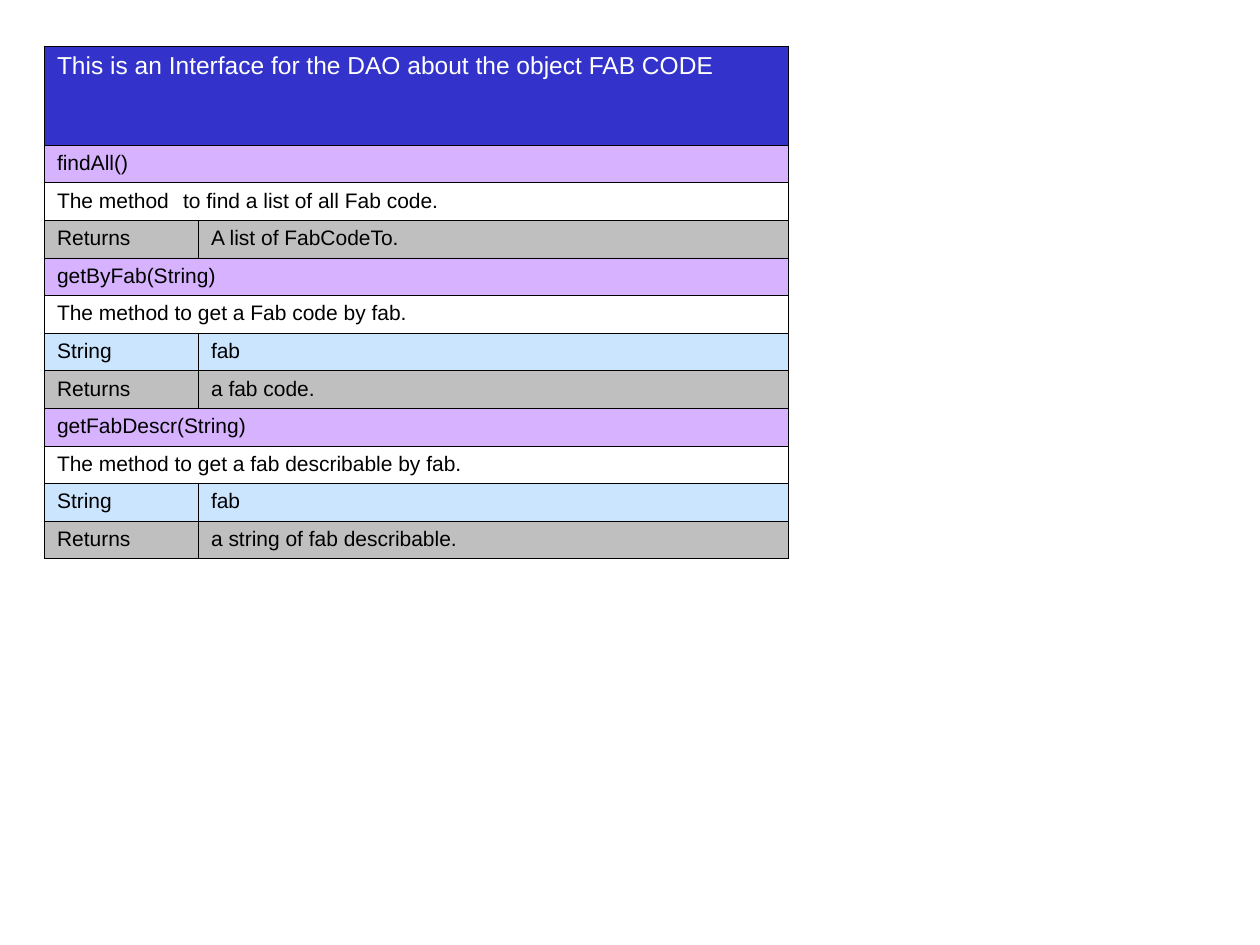
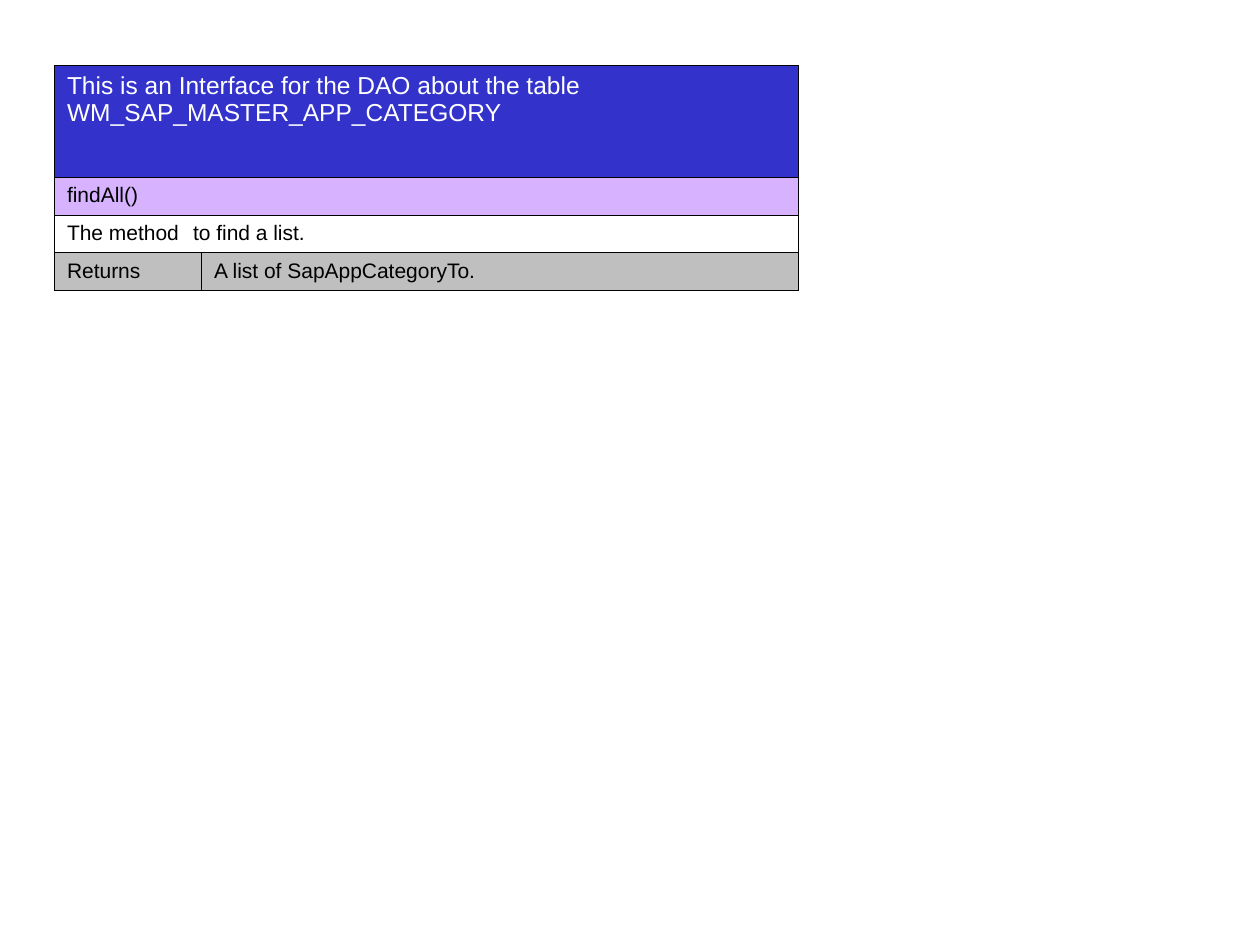
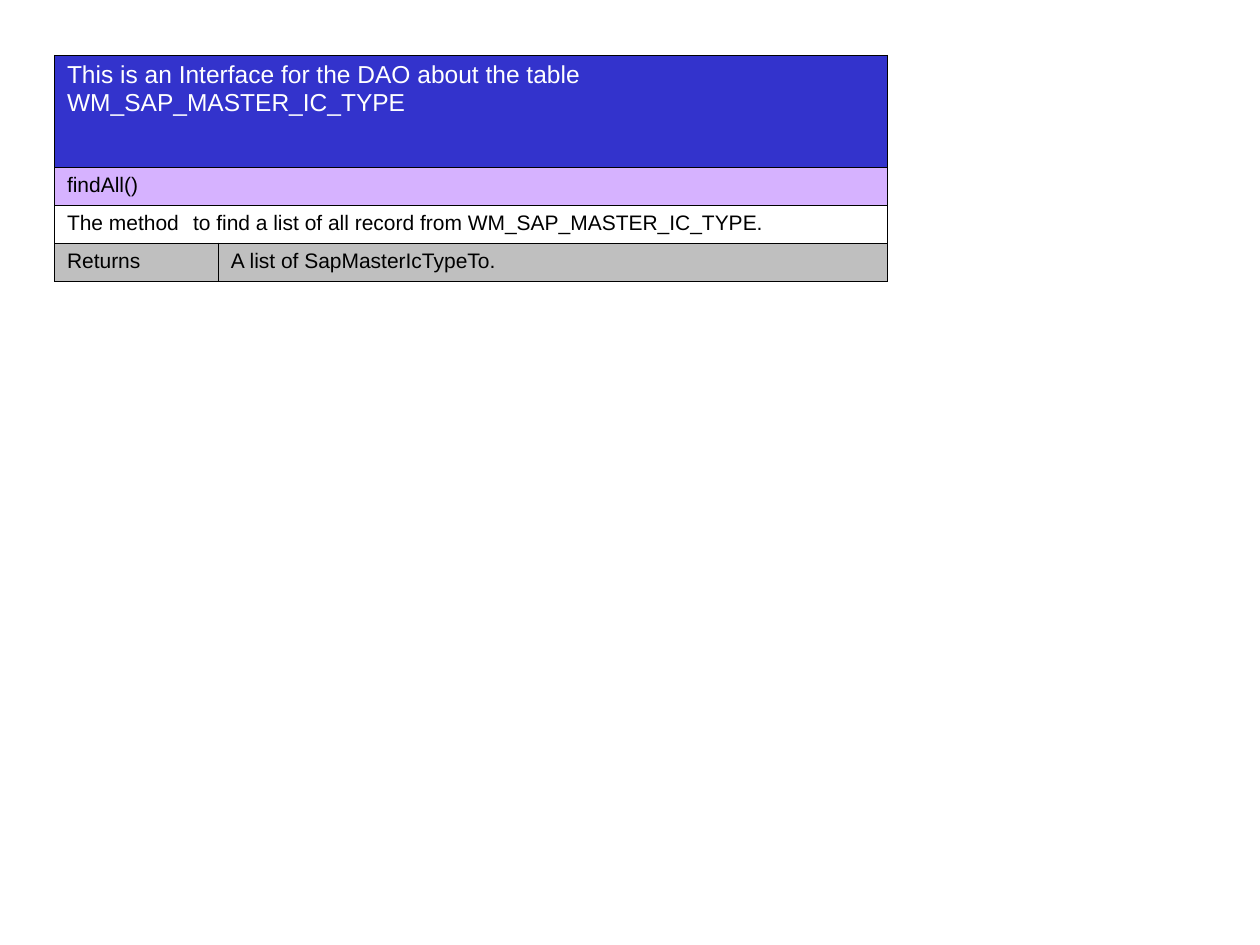
from lxml.etree import SubElement
from pptx import Presentation
from pptx.dml.color import RGBColor
from pptx.oxml import parse_xml
from pptx.oxml.ns import nsdecls, qn
from pptx.util import Pt

# Fill colour and opacity in percent for each kind of row
ROW_FILLS = {
    "title": ("3333CC", 100),
    "signature": ("AF67FF", 50),
    "description": None,
    "parameter": ("99CCFF", 50),
    "returns": ("808080", 50),
}


def color(hex_code):
    return RGBColor.from_string(hex_code)


class InterfaceDeck:
    FONT = "Arial"
    BORDER = "000000"
    BORDER_WIDTH = 0.45
    TAB_STOPS = [72 * inch for inch in range(8)]

    def __init__(self, width, height):
        self.deck = Presentation()
        self.deck.slide_width, self.deck.slide_height = Pt(width), Pt(height)
        self.slide = None

    def new_slide(self):
        self.slide = self.deck.slides.add_slide(self.deck.slide_layouts[6])

    def fill_cell(self, cell, kind):
        if ROW_FILLS[kind] is None:
            cell.fill.background()
            return
        hex_code, opacity = ROW_FILLS[kind]
        cell.fill.solid()
        cell.fill.fore_color.rgb = color(hex_code)
        if opacity < 100:
            tint = cell._tc.tcPr.find(qn("a:solidFill"))[0]
            SubElement(tint, qn("a:alpha")).set("val", str(opacity * 1000))

    def border_cell(self, cell):
        properties = cell._tc.get_or_add_tcPr()
        for position, side in enumerate("LRTB"):
            properties.insert(position, parse_xml(
                f'<a:ln{side} {nsdecls("a")} w="{Pt(self.BORDER_WIDTH)}">'
                f'<a:solidFill><a:srgbClr val="{color(self.BORDER)}"/></a:solidFill>'
                f'</a:ln{side}>'))

    def cell_text(self, cell, wording, kind):
        cell.margin_left = cell.margin_right = Pt(7.2)
        cell.margin_top = cell.margin_bottom = Pt(3.6)
        paragraph = cell.text_frame.paragraphs[0]
        tabs = SubElement(paragraph._p.get_or_add_pPr(), qn("a:tabLst"))
        for stop in self.TAB_STOPS:
            tab = SubElement(tabs, qn("a:tab"))
            tab.set("pos", str(Pt(stop)))
            tab.set("algn", "l")
        run = paragraph.add_run()
        run.text = wording
        run.font.name = self.FONT
        run.font.size = Pt(14 if kind == "title" else 12)
        run.font.color.rgb = color("FFFFFF" if kind == "title" else "000000")

    def interface_table(self, left, top, columns, title_height, row_height, rows):
        heights = [title_height] + [row_height] * (len(rows) - 1)
        table = self.slide.shapes.add_table(
            len(rows), len(columns), Pt(left), Pt(top),
            Pt(sum(columns)), Pt(sum(heights))).table
        table.first_row = table.horz_banding = False
        for column, width in zip(table.columns, columns):
            column.width = Pt(width)
        for index, (kind, *wordings) in enumerate(rows):
            table.rows[index].height = Pt(heights[index])
            cells = [table.cell(index, column) for column in range(len(columns))]
            if len(wordings) == 1:
                cells[0].merge(cells[-1])
            for cell in cells:
                self.fill_cell(cell, kind)
                self.border_cell(cell)
            for cell, wording in zip(cells, wordings):
                self.cell_text(cell, wording, kind)


def method(signature, description, returns, parameter=None):
    """Rows that document one method."""
    rows = [("signature", signature), ("description", description)]
    if parameter:
        rows.append(("parameter", *parameter))
    return rows + [("returns", "Returns", returns)]


def main():
    deck = InterfaceDeck(720, 540)
    fab = ("String", "fab")

    # Fab code interface
    deck.new_slide()
    deck.interface_table(25.4, 26.3, (88, 337.2), 56.6, 21.5, [
        ("title", "This is an Interface for the DAO about the object FAB CODE"),
        *method("findAll()", "The method \tto find a list of all Fab code.",
                "A list of FabCodeTo."),
        *method("getByFab(String)", "The method to get a Fab code by fab.",
                "a fab code.", fab),
        *method("getFabDescr(String)", "The method to get a fab describable by fab.",
                "a string of fab describable.", fab),
    ])

    # Application category interface
    deck.new_slide()
    deck.interface_table(31.1, 37.4, (84, 341.2), 64.1, 21.5, [
        ("title", "This is an Interface for the DAO about the table WM_SAP_MASTER_APP_CATEGORY"),
        *method("findAll()", "The method \tto find a list.",
                "A list of SapAppCategoryTo."),
    ])

    # IC type interface
    deck.new_slide()
    deck.interface_table(31.1, 31.6, (93.7, 382.5), 64.1, 21.6, [
        ("title", "This is an Interface for the DAO about the table WM_SAP_MASTER_IC_TYPE"),
        *method("findAll()",
                "The method \tto find a list of all record from WM_SAP_MASTER_IC_TYPE.",
                "A list of SapMasterIcTypeTo."),
    ])

    deck.deck.save("out.pptx")


if __name__ == "__main__":
    main()
